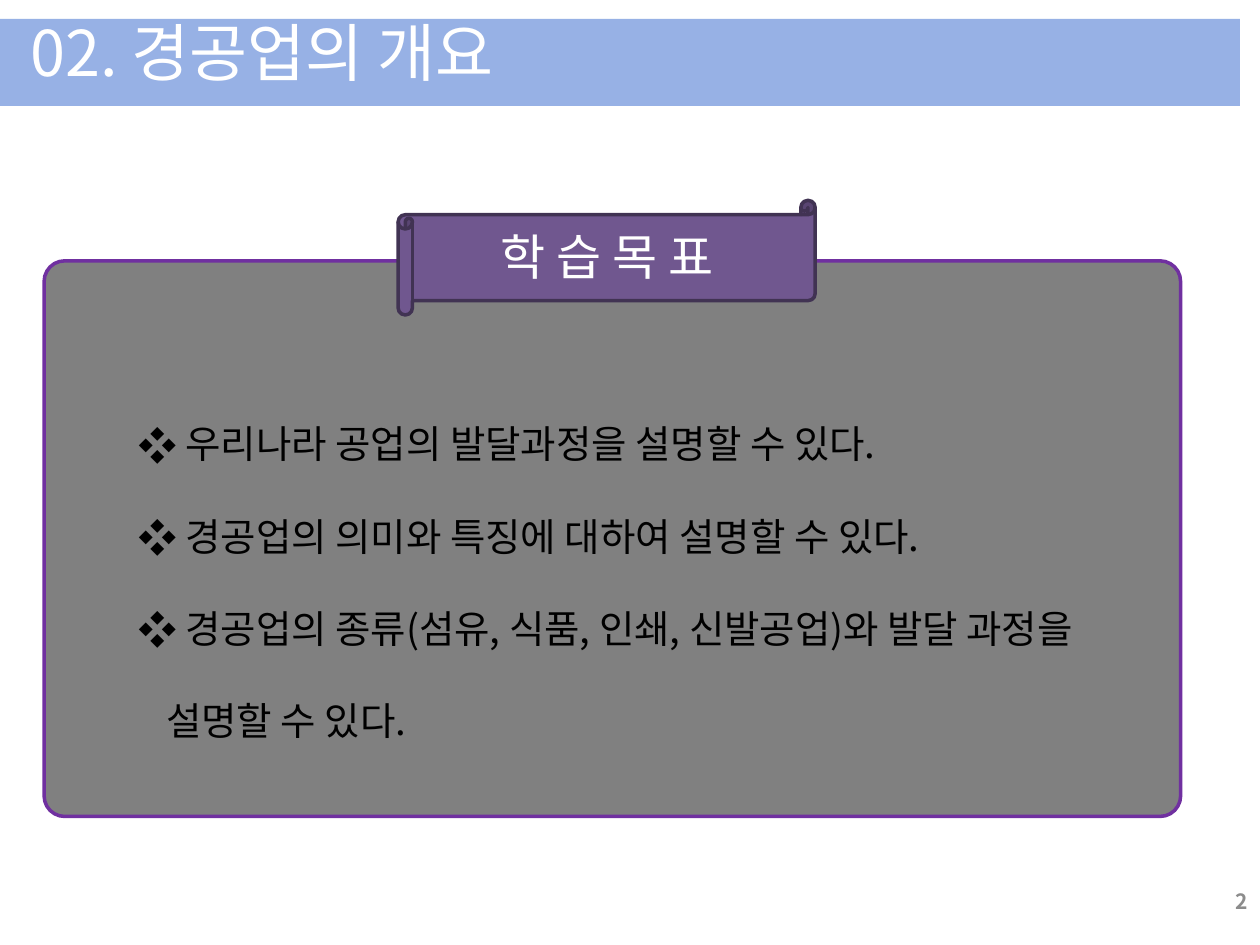
from dataclasses import dataclass
from typing import Any, Optional

from lxml import etree
from pptx import Presentation
from pptx.dml.color import RGBColor
from pptx.enum.shapes import MSO_SHAPE
from pptx.enum.text import MSO_ANCHOR, MSO_AUTO_SIZE, PP_ALIGN
from pptx.oxml.ns import qn
from pptx.util import Inches, Pt

RECT, ROUND, SCROLL = MSO_SHAPE.RECTANGLE, MSO_SHAPE.ROUNDED_RECTANGLE, MSO_SHAPE.HORIZONTAL_SCROLL
LEFT, MID, RIGHT = PP_ALIGN.LEFT, PP_ALIGN.CENTER, PP_ALIGN.RIGHT
TOP, CENTER = MSO_ANCHOR.TOP, MSO_ANCHOR.MIDDLE
FONT = "Noto Sans CJK KR"
WIDE, HIGH = 10, 7.5
HANG = 0.22
COLORS = {
    "band": "97B1E5", "panel": "808080", "edge": "7030A0", "scroll": "70578F",
    "rim": "413353", "white": "FFFFFF", "black": "000000", "gray": "8C8C8C",
}
GOALS = [
    " 우리나라 공업의 발달과정을 설명할 수 있다.",
    " 경공업의 의미와 특징에 대하여 설명할 수 있다.",
    " 경공업의 종류(섬유, 식품, 인쇄, 신발공업)와 발달 과정을 설명할 수 있다.",
]


@dataclass
class Box:
    left: float
    top: float
    width: float
    height: float

    def place(self) -> list[int]:
        return [Inches(n) for n in (self.left, self.top, self.width, self.height)]


@dataclass
class Style:
    size: int
    color: str
    align: Any = LEFT
    bold: bool = False
    gap: Optional[float] = None
    bullet: str = ""


def rgb(name: str) -> RGBColor:
    return RGBColor.from_string(COLORS[name])


def draw(shapes: Any, kind: Any, box: Box, fill: str, line: str = "") -> Any:
    shape = shapes.add_shape(kind, *box.place())
    shape.shadow.inherit = False
    shape.fill.solid()
    shape.fill.fore_color.rgb = rgb(fill)
    if line:
        shape.line.color.rgb = rgb(line)
        shape.line.width = Pt(2)
    else:
        shape.line.fill.background()
    return shape


def mark(para: Any, sign: str) -> None:
    props = para._p.get_or_add_pPr()
    props.set("marL", str(Inches(HANG)))
    props.set("indent", str(-Inches(HANG)))
    etree.SubElement(props, qn("a:buFont")).set("typeface", FONT)
    etree.SubElement(props, qn("a:buChar")).set("char", sign)


def write(shape: Any, lines: list[str], style: Style, anchor: Any = TOP) -> None:
    frame = shape.text_frame
    frame.word_wrap = True
    frame.auto_size = MSO_AUTO_SIZE.NONE
    frame.vertical_anchor = anchor
    frame.text = "\n".join(lines)
    for para in frame.paragraphs:
        para.alignment = style.align
        if style.gap:
            para.line_spacing = style.gap
        if style.bullet:
            mark(para, style.bullet)
        font = para.font
        font.name, font.size, font.bold = FONT, Pt(style.size), style.bold
        font.color.rgb = rgb(style.color)
        for run in para.runs:
            east = etree.SubElement(run._r.get_or_add_rPr(), qn("a:ea"))
            east.set("typeface", FONT)


def label(shapes: Any, box: Box, lines: list[str], style: Style, anchor: Any = TOP) -> None:
    write(shapes.add_textbox(*box.place()), lines, style, anchor)


def main() -> None:
    deck = Presentation()
    deck.slide_width, deck.slide_height = Inches(WIDE), Inches(HIGH)
    slide = deck.slides.add_slide(deck.slide_layouts[5])
    shapes = slide.shapes

    band = draw(shapes, RECT, Box(0, 0.15, 9.84, 0.69), "band")
    title = shapes.title
    band._element.addnext(title._element)
    title.left, title.top, title.width, title.height = Box(0, 0.01, 8.07, 0.79).place()
    write(title, ["02. 경공업의 개요"], Style(36, "white"))
    frame = title.text_frame
    frame.margin_left, frame.margin_top = Inches(0.24), Inches(0.1)
    frame.margin_right = frame.margin_bottom = 0

    panel = draw(shapes, ROUND, Box(0.35, 2.07, 9.02, 4.41), "panel", "edge")
    panel.adjustments[0] = 0.037
    label(shapes, Box(1, 2.92, 7.97, 3.8), GOALS, Style(22, "black", gap=2, bullet="❖"))

    banner = shapes.add_group_shape().shapes
    draw(banner, SCROLL, Box(3.16, 1.59, 3.31, 0.91), "scroll", "rim")
    label(banner, Box(3.03, 1.75, 3.58, 0.57), ["학 습 목 표"], Style(28, "white", MID))
    label(shapes, Box(7.67, 6.95, 2.33, 0.4), ["2"], Style(12, "gray", RIGHT, True), CENTER)

    deck.save("out.pptx")


main()
